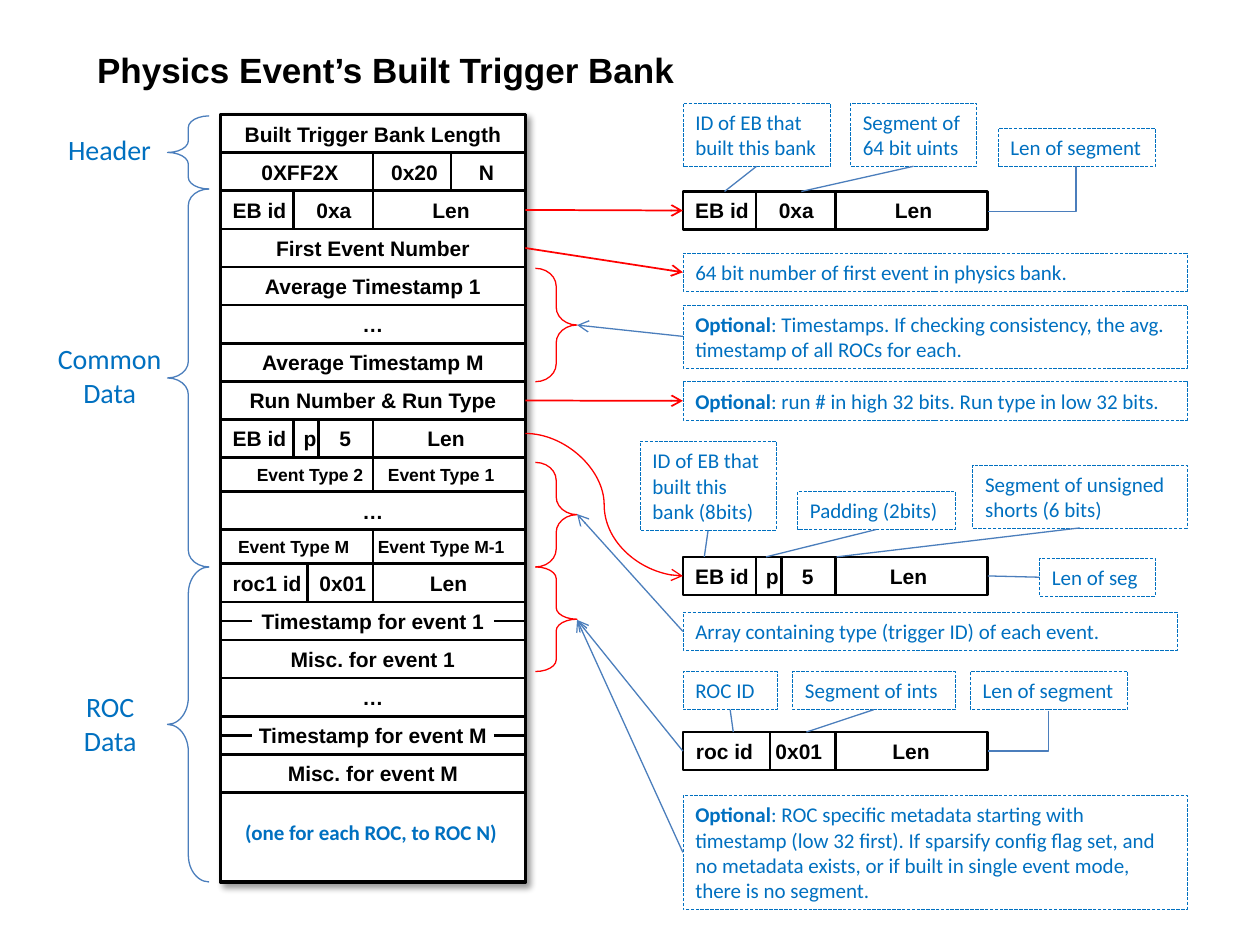
"""Build the slide that explains the layout of a physics event's built trigger bank."""
from lxml import etree
from pptx import Presentation
from pptx import util as u
from pptx.dml.color import RGBColor
from pptx.enum import dml, shapes, text
from pptx.oxml.ns import nsdecls, qn

THEME = {
    "ink": "000000", "paper": "FFFFFF", "note": "0070C0", "guide": "4B7EBC", "flow": "FF0000",
    "data_font": "Arial", "note_font": "Calibri",
    "title": 20, "label": 16, "body": 12, "small": 10,
}
HALF = 1.21
ROW, BANK_W = HALF / 4, HALF * 2
BANK_X, BANK_Y, DETAIL_X = 1.75, 0.91, 5.42
SHADOW = (f'<a:outerShdw {nsdecls("a")} blurRad="50800" dist="38100" dir="2700000" algn="tl" rotWithShape="0">'
          '<a:prstClr val="black"><a:alpha val="40000"/></a:prstClr></a:outerShdw>')

deck = Presentation()
deck.slide_width, deck.slide_height = u.Inches(10), u.Inches(7.5)
slide = deck.slides.add_slide(deck.slide_layouts[5])


def box(x, y, w, h, words="", size="body", color="ink", lead="", bold=False, edge=None,
        dash=False, fill=None, centers=(), align=text.PP_ALIGN.CENTER):
    """Draw a box of text; centers are the middles of its fields, measured from its left side."""
    frame = [u.Inches(v) for v in (x, y, w, h)]
    if edge:
        shape = slide.shapes.add_shape(shapes.MSO_SHAPE.RECTANGLE, *frame)
        shape.shadow.inherit = False
        shape.line.width = u.Pt(edge)
        shape.line.color.rgb = RGBColor.from_string(THEME[color])
        if dash:
            shape.line.dash_style = dml.MSO_LINE.LONG_DASH
        if fill:
            shape.fill.solid()
            shape.fill.fore_color.rgb = RGBColor.from_string(THEME[fill])
        else:
            shape.fill.background()
    else:
        shape = slide.shapes.add_textbox(*frame)
    body = shape.text_frame
    body.word_wrap = True
    body.vertical_anchor = text.MSO_ANCHOR.MIDDLE
    if centers:
        body.margin_left = body.margin_right = 0
    for number, line in enumerate(words.split("\n") if words else []):
        paragraph = body.add_paragraph() if number else body.paragraphs[0]
        paragraph.alignment = text.PP_ALIGN.LEFT if centers else align
        if centers:
            stops = etree.SubElement(paragraph._p.get_or_add_pPr(), qn("a:tabLst"))
            for center in centers:
                etree.SubElement(stops, qn("a:tab"), pos=str(u.Inches(center)), algn="ctr")
        for part, strong in ((lead, True), (line, bold)):
            if part:
                run = paragraph.add_run()
                run.text = part
                run.font.size, run.font.bold = u.Pt(THEME[size]), strong
                run.font.name = THEME["data_font" if color == "ink" else "note_font"]
                run.font.color.rgb = RGBColor.from_string(THEME[color])
    return shape


def link(start, end, color="guide", width=0.75, arrow=False, kind=shapes.MSO_CONNECTOR.STRAIGHT):
    """Draw a connector; each end is a point or a shape with its side number."""
    ends = [p if isinstance(p[0], (int, float)) else (0, 0) for p in (start, end)]
    line = slide.shapes.add_connector(kind, *[u.Inches(v) for p in ends for v in p])
    for place, join in ((start, line.begin_connect), (end, line.end_connect)):
        if not isinstance(place[0], (int, float)):
            join(*place)
    line.line.width = u.Pt(width)
    line.line.color.rgb = RGBColor.from_string(THEME[color])
    if arrow:
        etree.SubElement(line.line._get_or_add_ln(), qn("a:tailEnd"), type="arrow")
    etree.SubElement(line._element.spPr, qn("a:effectLst"))
    return line


title = slide.shapes.title
title.left, title.top, title.width, title.height = [u.Inches(v) for v in (0.67, 0.33, 5.2, 0.44)]
title.text_frame.vertical_anchor = text.MSO_ANCHOR.MIDDLE
heading = title.text_frame.paragraphs[0]
heading.alignment = text.PP_ALIGN.LEFT
run = heading.add_run()
run.text = "Physics Event’s Built Trigger Bank"
run.font.size, run.font.bold, run.font.name = u.Pt(THEME["title"]), True, THEME["data_font"]
run.font.color.rgb = RGBColor.from_string(THEME["ink"])
glow = etree.Element(qn("a:effectLst"))
glow.append(etree.fromstring(SHADOW))
run._r.get_or_add_rPr().insert(1, glow)

for words, x, y, w, h in [("Header", 0.41, 1, 0.92, 0.37), ("Common Data", 0.33, 2.66, 1.08, 0.64),
                          ("ROC\nData", 0.54, 5.42, 0.67, 0.64)]:
    box(x, y, w, h, words, "label", "note")

for x, y, h, bend, color in [
        (1.33, 0.92, 0.58, 0.28, "guide"), (1.33, 1.5, 3, 0.4, "guide"), (1.33, 4.5, 2.5, 0.65, "guide"),
        (4.25, 2.13, 0.9, 0.43, "flow"), (4.25, 3.67, 0.83, 0.43, "flow"), (4.25, 4.5, 0.83, 0.28, "flow")]:
    brace = slide.shapes.add_shape(shapes.MSO_SHAPE.LEFT_BRACE, *[u.Inches(v) for v in (x, y, 0.33, h)])
    brace.adjustments[0] = bend
    brace.shadow.inherit = False
    brace.fill.background()
    brace.line.width = u.Pt(0.75)
    brace.line.color.rgb = RGBColor.from_string(THEME[color])
    if color == "flow":
        brace._element.spPr.find(qn("a:xfrm")).set("flipH", "1")

bank = box(BANK_X, BANK_Y, BANK_W, 6.09, edge=2, fill="paper")
bank._element.spPr.find(qn("a:effectLst")).append(etree.fromstring(SHADOW))

SEGMENT = ("\tEB id\t0xa\tLen", (0.31, 0.9, 1.83), (0.58, HALF))
PADDED = ("\tEB id\tp\t5\tLen", (0.31, 0.71, 0.99, 1.79), (0.58, 0.78, HALF))
bank_rows = [
    ("Built Trigger Bank Length", (), ()),
    ("\t0XFF2X\t0x20\tN", (0.63, 1.54, 2.11), (HALF, 1.83)),
    SEGMENT,
    ("First Event Number", (), ()),
    ("Average Timestamp 1", (), ()),
    ("…", (), ()),
    ("Average Timestamp M", (), ()),
    ("Run Number & Run Type", (), ()),
    PADDED,
    ("\tEvent Type 2\tEvent Type 1", (0.71, 1.75), (HALF,)),
    ("…", (), ()),
    ("\tEvent Type M\tEvent Type M-1", (0.58, 1.75), (HALF,)),
    ("\troc1 id\t0x01\tLen", (0.37, 0.97, 1.81), (0.69, HALF)),
    ("Timestamp for event 1", (), ()),
    ("Misc. for event 1", (), ()),
    ("…", (), ()),
    ("Timestamp for event M", (), ()),
    ("Misc. for event M", (), ()),
]
detail_rows = [
    (1.52, SEGMENT),
    (4.42, PADDED),
    (5.81, ("\troc id\t0x01\tLen", (0.33, 0.92, 1.81), (0.69, HALF))),
]
placed = []
y = BANK_Y
for row in bank_rows:
    height = 0.27 if "Event Type" in row[0] else ROW
    placed.append((BANK_X, y, height, None, row))
    y += height
placed += [(DETAIL_X, top, ROW, "paper", row) for top, row in detail_rows]

records = []
for x, y, height, fill, (words, centers, dividers) in placed:
    size = "small" if "Event Type" in words else "body"
    records.append(box(x, y, BANK_W, height, words, size, bold=True, edge=1.5, fill=fill, centers=centers))
    for divider in dividers:
        link((x + divider, y), (x + divider, y + height), "ink", 1.5)
    if words.startswith("Timestamp"):
        for dash_x in (x, x + BANK_W - 0.25):
            link((dash_x, y + height / 2), (dash_x + 0.25, y + height / 2), "ink", 1.5)
segment_row, first_event, run_row = records[2], records[3], records[7]
segment_detail, padded_detail, roc_detail = records[-3:]
box(1.82, 6.45, 2.25, ROW, "(one for each ROC, to ROC N)", color="note", bold=True)

notes = {}
for key, x, y, w, h, lead, words in [
        ("eb", DETAIL_X, 0.82, 1.17, 0.5, "", "ID of EB that built this bank"),
        ("uints", 6.75, 0.82, 1, 0.5, "", "Segment of 64 bit uints"),
        ("len", 7.92, 1.02, 1.25, ROW, "", "Len of segment"),
        ("first", DETAIL_X, 2.01, 4, ROW, "", "64 bit number of first event in physics bank."),
        ("times", DETAIL_X, 2.42, 4, 0.5, "Optional",
         ": Timestamps. If checking consistency, the avg. timestamp of all ROCs for each."),
        ("run", DETAIL_X, 3.03, 4, ROW, "Optional", ": run # in high 32 bits. Run type in low 32 bits."),
        ("eb8", 5.08, 3.5, 1.08, 0.71, "", "ID of EB that built this bank (8bits)"),
        ("padding", 6.33, 3.9, 1.25, ROW, "", "Padding (2bits)"),
        ("shorts", 7.72, 3.69, 1.7, 0.5, "", "Segment of unsigned shorts (6 bits)"),
        ("seg", 8.25, 4.43, 0.92, ROW, "", "Len of seg"),
        ("types", DETAIL_X, 4.86, 3.92, ROW, "", "Array containing type (trigger ID) of each event."),
        ("roc", DETAIL_X, 5.33, 0.75, ROW, "", "ROC ID"),
        ("ints", 6.29, 5.33, 1.29, ROW, "", "Segment of ints"),
        ("roc_len", 7.7, 5.33, 1.25, ROW, "", "Len of segment"),
        ("meta", DETAIL_X, 6.31, 4, 0.91, "Optional",
         ": ROC specific metadata starting with timestamp (low 32 first). If sparsify config flag set, "
         "and no metadata exists, or if built in single event mode, there is no segment.")]:
    notes[key] = box(x, y, w, h, words, color="note", lead=lead, edge=0.25, dash=True, align=text.PP_ALIGN.LEFT)

for key, x, y in [("eb", 5.75, 1.52), ("uints", 6.36, 1.52), ("eb8", 5.59, 4.42), ("padding", 6.08, 4.42),
                  ("shorts", 6.64, 4.42), ("roc", 5.82, 5.81), ("ints", 6.4, 5.81)]:
    link((notes[key], 2), (x, y))
link((padded_detail, 3), (notes["seg"], 1))
for source, tip_y in [(notes["times"], 2.58), (notes["types"], 4.08), (roc_detail, 4.92), (notes["meta"], 4.92)]:
    link((source, 1), (4.58, tip_y), arrow=True)
for source, target in [(segment_row, segment_detail), (first_event, notes["first"]), (run_row, notes["run"])]:
    link((source, 3), (target, 1), "flow", 1, True)
link((BANK_X + BANK_W, 3.44), (padded_detail, 1), "flow", arrow=True, kind=shapes.MSO_CONNECTOR.CURVE)

for x, top, bottom in [(8.54, 1.32, 1.68), (8.32, 5.64, 5.96)]:
    left = DETAIL_X + BANK_W
    mid_x, mid_y = (x + left) / 2, (top + bottom) / 2
    reach, drop = (x - left) / 2, (bottom - top) / 2
    elbow = link((mid_x - drop, mid_y - reach), (mid_x + drop, mid_y + reach), kind=shapes.MSO_CONNECTOR.ELBOW)
    elbow._element.spPr.find(qn("a:xfrm")).set("rot", "5400000")
    elbow._element.spPr.find(qn("a:prstGeom")).set("prst", "bentConnector2")

deck.save("out.pptx")
